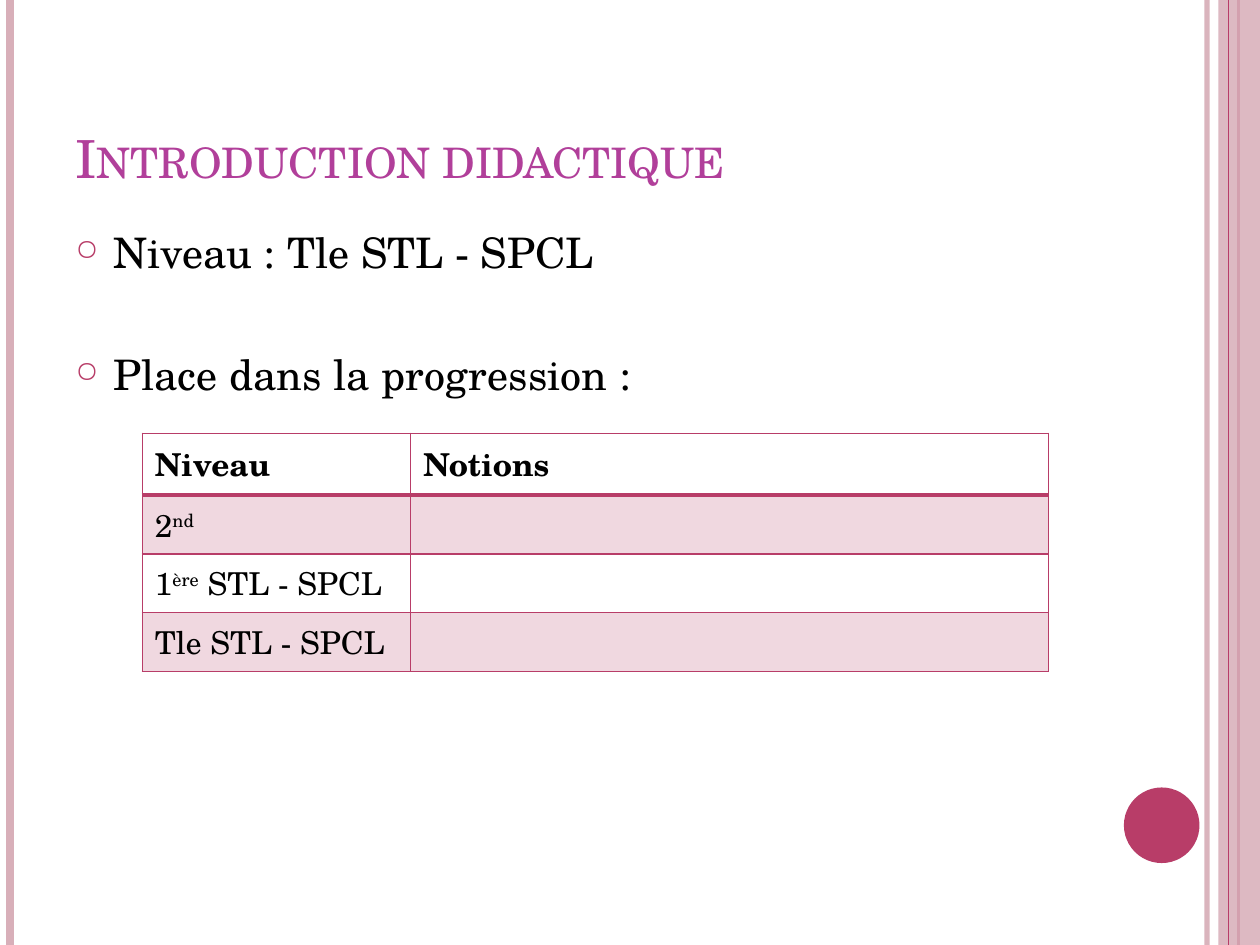
from pptx import Presentation
from pptx import util as u
from pptx.dml import color
from pptx.enum import shapes, text
from pptx.oxml import parse_xml
from pptx.oxml.ns import nsdecls, qn
from lxml import etree

Pt = u.Pt
theme = dict(font="TeX Gyre Schola", rose="B83D68", pale="D8AFB9", plum="B13F9A",
             ink="000000", title=30, body=24, cell=18)


def rgb(name):
    """Return a theme colour."""
    return color.RGBColor.from_string(theme[name])


def write(para, words, size="body", ink="ink", bold=False, **attrs):
    """Add a run to a paragraph, with extra run attributes."""
    run = para.add_run()
    run.text = words
    font = run.font
    font.name, font.size, font.bold = theme["font"], Pt(theme[size]), bold
    font.color.rgb = rgb(ink)
    for key, value in attrs.items():
        font._element.set(key, value)


deck = Presentation()
deck.slide_width, deck.slide_height = Pt(720), Pt(540)
slide = deck.slides.add_slide(deck.slide_layouts[6])
items = slide.shapes

# Side rules, band and disc
rules = [(689.76, "pale", 3, 93), (5.76, "pale", 4.5, 100),
         (707.76, "rose", 1.5, 100), (702, "rose", 0.75, 100)]
forms = [(shapes.MSO_SHAPE.RECTANGLE, (696.24, 0, 23.76, 540), "pale", 87),
         (shapes.MSO_SHAPE.OVAL, (642.24, 450, 43.2, 43.2), "rose", 100)]


def fade(part, alpha):
    """Set the opacity of a part's colour in percent."""
    tone = next(part._element.spPr.iter(qn("a:srgbClr")))
    etree.SubElement(tone, qn("a:alpha")).set("val", str(alpha * 1000))


for step, (x, tone, width, alpha) in enumerate(rules):
    if step == 3:
        band = True
    rule = items.add_connector(shapes.MSO_CONNECTOR.STRAIGHT, Pt(x), 0, Pt(x), Pt(540))
    rule.line.color.rgb, rule.line.width = rgb(tone), Pt(width)
    fade(rule, alpha)
    etree.SubElement(rule._element.spPr, qn("a:effectLst"))
    last = rule
for kind, spot, tone, alpha in forms:
    form = items.add_shape(kind, *map(Pt, spot))
    form.shadow.inherit = False
    form.fill.solid()
    form.fill.fore_color.rgb = rgb(tone)
    form.line.fill.background()
    fade(form, alpha)
    if kind == shapes.MSO_SHAPE.RECTANGLE:
        last._element.addprevious(form._element)

# Title and bullets
title = items.add_textbox(Pt(36), Pt(21.6), Pt(588.24), Pt(90)).text_frame
title.word_wrap = True
title.vertical_anchor = text.MSO_ANCHOR.BOTTOM
write(title.paragraphs[0], "Introduction didactique", "title", "plum", cap="small")

body = items.add_textbox(Pt(36), Pt(126), Pt(588.24), Pt(383.76)).text_frame
body.word_wrap = True
points = [("Niveau : Tle STL - SPCL", 6), ("Place dans la progression :", 41)]
for row, (words, gap) in enumerate(points):
    para = body.add_paragraph() if row else body.paragraphs[0]
    para.space_before = Pt(gap)
    write(para, words)
    props = para._p.get_or_add_pPr()
    props.set("marL", str(Pt(21.6)))
    props.set("indent", str(Pt(-21.6)))
    for mark in (f'<a:buClr {nsdecls("a")}><a:srgbClr val="{theme["rose"]}"/></a:buClr>',
                 f'<a:buSzPct {nsdecls("a")} val="70000"/>',
                 f'<a:buChar {nsdecls("a")} char="○"/>'):
        props.append(parse_xml(mark))

# Table: each cell is a list of (words, baseline)
rows = [[[("Niveau", 0)], [("Notions", 0)]],
        [[("2", 0), ("nd", 30)], []],
        [[("1", 0), ("ère", 30), (" STL - SPCL", 0)], []],
        [[("Tle STL - SPCL", 0)], []]]
frame = items.add_table(4, 2, Pt(81.36), Pt(247.68), Pt(517.68), Pt(116.64))
grid = frame.table
for col, width in zip(grid.columns, (153.36, 364.32)):
    col.width = Pt(width)
for r, cells in enumerate(rows):
    grid.rows[r].height = Pt(35.2 if r == 0 else 33.6)
    for c, parts in enumerate(cells):
        cell = grid.cell(r, c)
        para = cell.text_frame.paragraphs[0]
        para.font.size = Pt(theme["cell"])
        for words, base in parts:
            write(para, words, "cell", bold=r == 0, baseline=str(base * 1000))
        props = cell._tc.get_or_add_tcPr()
        for side in "LRTB":
            thick = 2 if (r, side) in ((0, "B"), (1, "T")) else 1
            props.append(parse_xml(
                f'<a:ln{side} {nsdecls("a")} w="{Pt(thick)}"><a:solidFill>'
                f'<a:srgbClr val="{theme["rose"]}"/></a:solidFill></a:ln{side}>'))
        if r % 2:
            cell.fill.solid()
            cell.fill.fore_color.rgb = rgb("rose")
            tone = next(props.find(qn("a:solidFill")).iter(qn("a:srgbClr")))
            etree.SubElement(tone, qn("a:alpha")).set("val", "20000")
        else:
            cell.fill.background()

deck.save("out.pptx")
